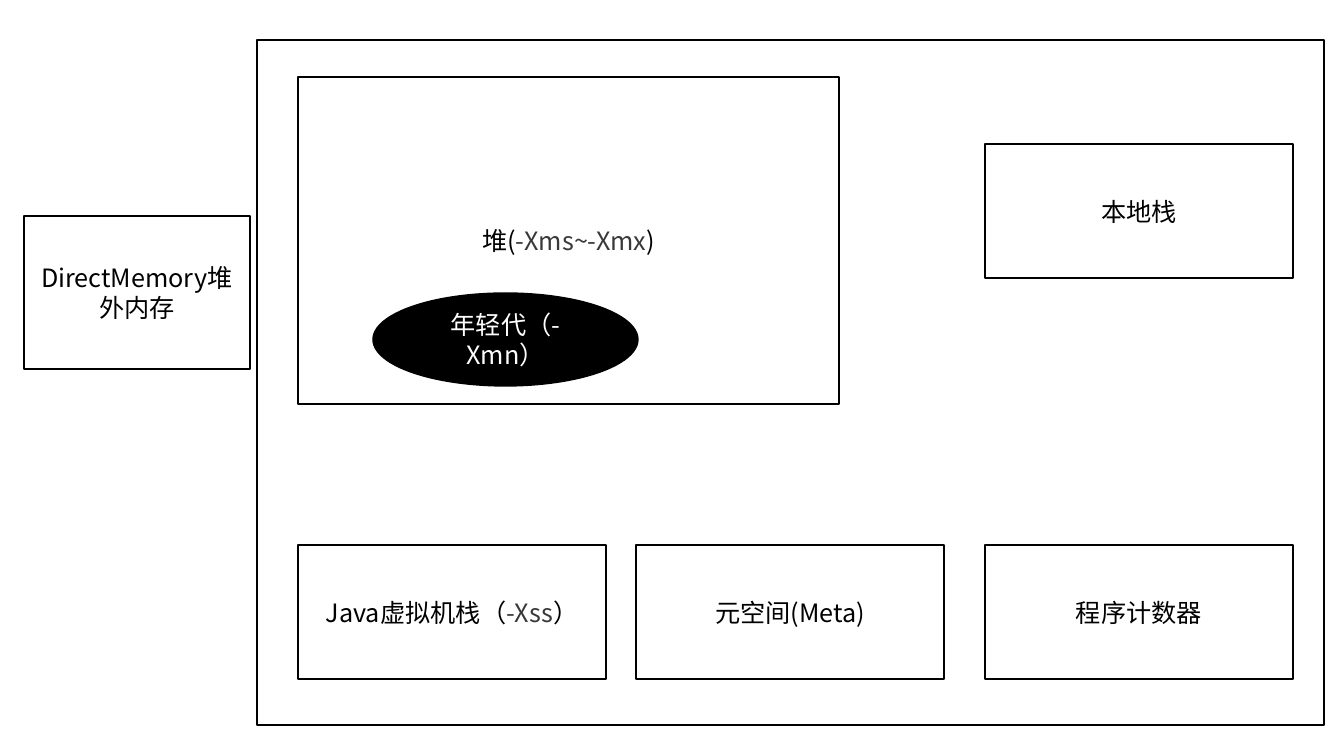
from lxml import etree
from pptx import Presentation
from pptx.dml.color import RGBColor
from pptx.enum.shapes import MSO_SHAPE
from pptx.enum.text import MSO_ANCHOR, PP_ALIGN
from pptx.oxml.ns import qn
from pptx.util import Emu, Pt

RECTANGLE = MSO_SHAPE.RECTANGLE
ELLIPSE = MSO_SHAPE.OVAL
MIDDLE = MSO_ANCHOR.MIDDLE
CENTER = PP_ALIGN.CENTER

BLACK, WHITE, GREY = "000000", "FFFFFF", "393939"
EMU_PER_PIXEL = 914400 / 100.8


def px(pixels):
    return Emu(round(pixels * EMU_PER_PIXEL))


def color(hex_string):
    return RGBColor.from_string(hex_string)


class Diagram:
    font_name = "Noto Sans CJK SC"
    font_size = Pt(18)
    line_width = Pt(1)

    def __init__(self, slide):
        self.slide = slide

    def area(self, left, top, width, height, runs=(), kind=RECTANGLE, fill=WHITE):
        shape = self.slide.shapes.add_shape(
            kind, px(left), px(top), px(width), px(height))
        shape.shadow.inherit = False
        shape.fill.solid()
        shape.fill.fore_color.rgb = color(fill)
        shape.line.color.rgb = color(BLACK)
        shape.line.width = self.line_width
        if runs:
            self.label(shape.text_frame, runs)

    def label(self, frame, runs):
        frame.word_wrap = True
        frame.vertical_anchor = MIDDLE
        paragraph = frame.paragraphs[0]
        paragraph.alignment = CENTER
        paragraph.font.size = self.font_size
        for text, text_color in runs:
            run = paragraph.add_run()
            run.text = text
            run.font.size = self.font_size
            run.font.color.rgb = color(text_color)
            run.font.name = self.font_name
            east_asian = etree.SubElement(run.font._element, qn("a:ea"))
            east_asian.set("typeface", self.font_name)


presentation = Presentation()
presentation.slide_width = px(1344)
presentation.slide_height = px(756)
blank_layout = presentation.slide_layouts[6]
diagram = Diagram(presentation.slides.add_slide(blank_layout))

LEFT_COLUMN, MIDDLE_COLUMN, RIGHT_COLUMN = 298, 636, 985
UPPER_ROW, LOWER_ROW = 144, 545
REGION_WIDTH, REGION_HEIGHT = 308, 134

diagram.area(257, 40, 1067, 685)
diagram.area(LEFT_COLUMN, 77, 541, 327,
             [("堆(", BLACK), ("-Xms~-Xmx", GREY), (")", BLACK)])

regions = [
    (LEFT_COLUMN, LOWER_ROW,
     [("Java虚拟机栈（", BLACK), ("-Xss", GREY), ("）", BLACK)]),
    (RIGHT_COLUMN, UPPER_ROW, [("本地栈", BLACK)]),
    (MIDDLE_COLUMN, LOWER_ROW, [("元空间(Meta)", BLACK)]),
    (RIGHT_COLUMN, LOWER_ROW, [("程序计数器", BLACK)]),
]
for left, top, runs in regions:
    diagram.area(left, top, REGION_WIDTH, REGION_HEIGHT, runs)

diagram.area(373, 293, 265, 93, [("年轻代（-Xmn）", WHITE)], ELLIPSE, BLACK)
diagram.area(24, 216, 226, 153, [("DirectMemory堆外内存", BLACK)])

presentation.save("out.pptx")
